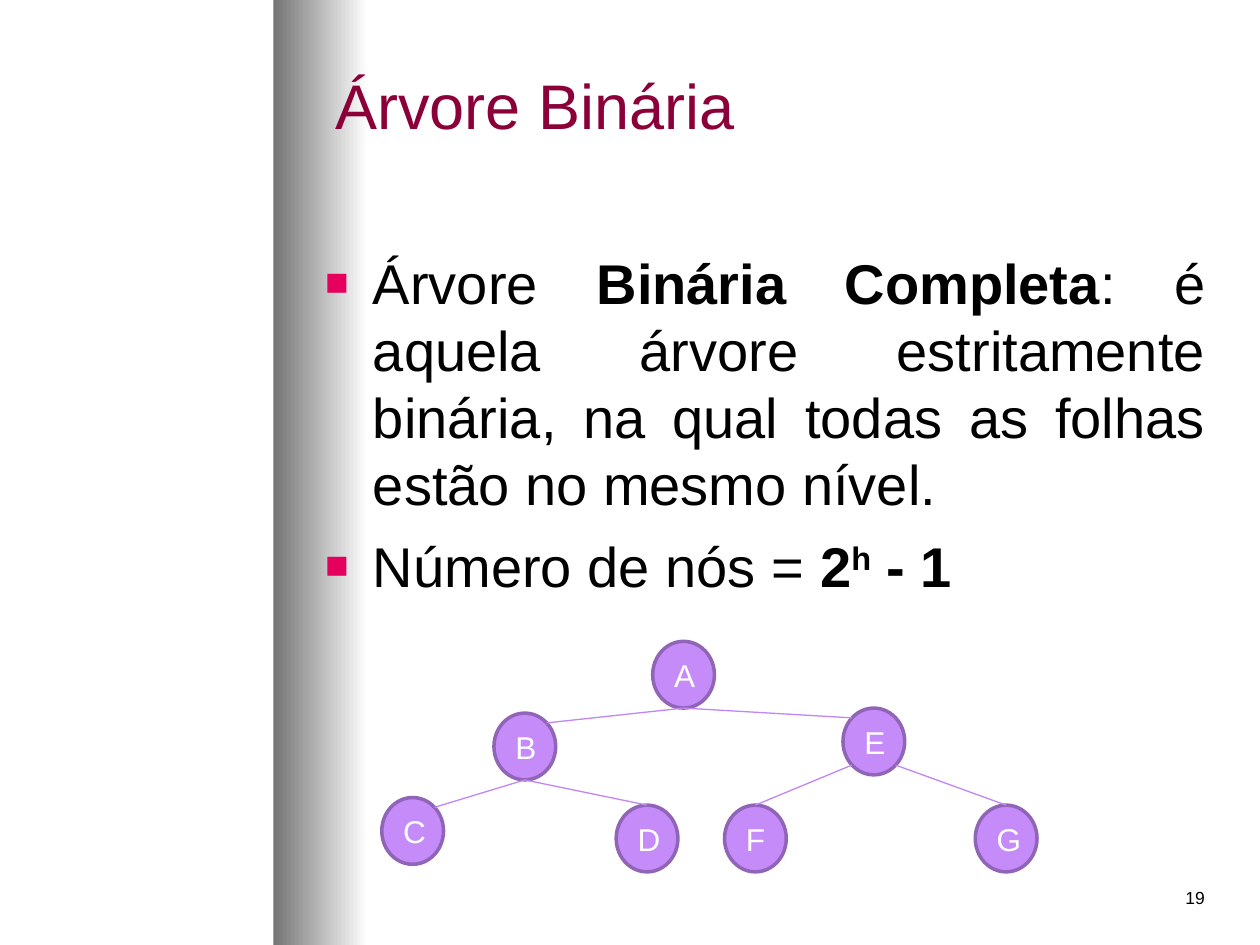
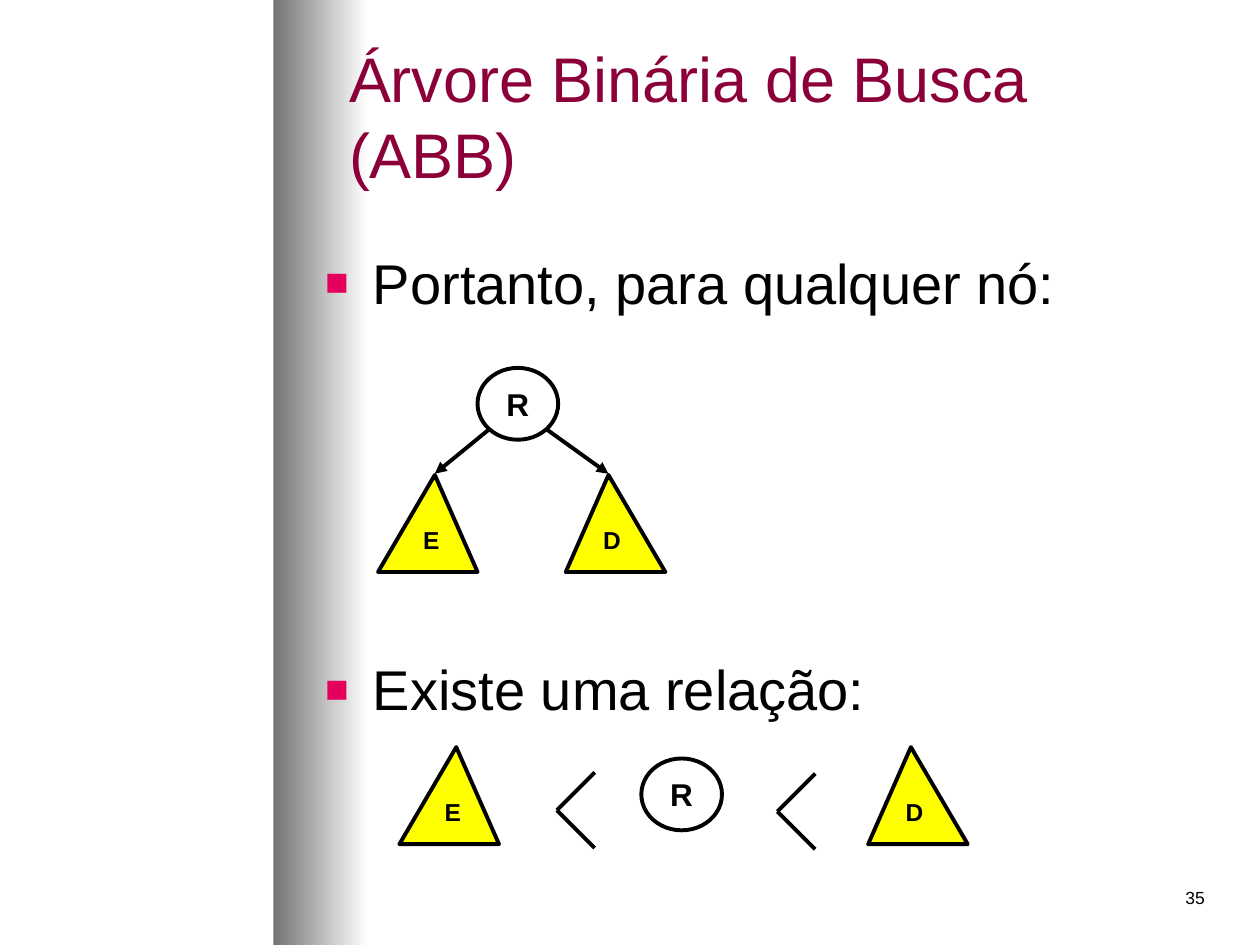
"""Build two slides on binary trees and binary search trees."""
from lxml import etree
from pptx import Presentation
from pptx import util as u
from pptx.dml.color import RGBColor
from pptx.enum import shapes, text
from pptx.oxml.ns import qn


class Theme:
    font = "Arial"
    title, ink, bullet = "8C0039", "000000", "E4005C"
    shade, white = "747474", "FFFFFF"
    node, rim, edge, leaf = "C58BF9", "9065B7", "C185F6", "FFFF00"
    head, body, label, small, foot = 36, 32, 18, 14, 10
    thin, mid, bold = 0.75, 2, 2.25


BAND = (2.17, 0, 0.75, 7.5)
FOOT = (7.58, 6.99, 2.08, 0.34)
GAP = 8
DIAG = 0.5 ** 0.5

FULL = {
    "title": "Árvore Binária", "head": (2.56, 0.05, 6.29, 1.55),
    "body": (2.48, 1.92, 7.19, 5.42), "page": "19",
    "align": text.PP_ALIGN.JUSTIFY,
    "items": [
        (GAP, [("Árvore ", ""), ("Binária Completa", "b"),
               (": é aquela árvore estritamente binária, na qual todas as "
                "folhas estão no mesmo nível.", "")]),
        (GAP, [("Número de nós = ", ""), ("2", "b"), ("h", "b^"),
               (" - 1", "b")]),
    ],
}
SEARCH = {
    "title": "Árvore Binária de Busca (ABB)", "head": (2.67, 0.25, 7, 1.33),
    "body": (2.48, 1.92, 6.77, 3.88), "page": "35",
    "align": text.PP_ALIGN.LEFT,
    "items": [
        (GAP, [("Portanto, para qualquer nó:", "")]),
        (194, [("Existe uma relação:", "")]),
    ],
}

NODE = (0.49, 0.53)
NODES = {"A": (5.18, 5.09), "B": (3.92, 5.66), "E": (6.69, 5.62),
         "C": (3.03, 6.33), "D": (4.89, 6.39), "F": (5.75, 6.39),
         "G": (7.74, 6.39)}
DOWN, UP = (0, 1), (0, -1)
EDGES = [("A", DOWN, "B", (1, -1)), ("A", DOWN, "E", (-1, -1)),
         ("B", DOWN, "C", (1, -1)), ("B", DOWN, "D", UP),
         ("E", (-1, 1), "F", UP), ("E", (1, 1), "G", UP)]

ROOT, TREE = (0.64, 0.57), (0.79, 0.77)
PEAK = {"E": 0.571, "D": 0.429}
ROOTS = [(3.79, 2.92), (5.09, 6.02)]
TREES = [("E", 3, 3.77), ("D", 4.49, 3.77),
         ("E", 3.17, 5.93), ("D", 6.89, 5.93)]
SIGNS = [(4.42, 6.43), (6.17, 6.44)]
ARM = 0.3


def rgb(hue):
    return RGBColor.from_string(hue)


def place(shape, box):
    shape.left, shape.top, shape.width, shape.height = map(u.Inches, box)


def write(para, words, size, hue, bold=False):
    run = para.add_run()
    run.text = words
    font = run.font
    font.name, font.size, font.bold = Theme.font, u.Pt(size), bold
    font.color.rgb = rgb(hue)
    return run


def mark(para):
    props = para._p.get_or_add_pPr()
    props.set("marL", str(u.Inches(0.38)))
    props.set("indent", str(-u.Inches(0.38)))
    tint = etree.SubElement(props, qn("a:buClr"))
    etree.SubElement(tint, qn("a:srgbClr"), val=Theme.bullet)
    etree.SubElement(props, qn("a:buSzPct"), val="70000")
    etree.SubElement(props, qn("a:buFont"), typeface=Theme.font)
    etree.SubElement(props, qn("a:buChar"), char="■")


def draw(slide, kind, box, fill, rim, width):
    shape = slide.shapes.add_shape(kind, *map(u.Inches, box))
    shape.shadow.inherit = False
    if fill:
        shape.fill.solid()
        shape.fill.fore_color.rgb = rgb(fill)
    else:
        shape.fill.background()
    shape.line.color.rgb = rgb(rim)
    shape.line.width = u.Pt(width)
    return shape


def label(shape, words, size, hue, bold, anchor):
    frame = shape.text_frame
    frame.vertical_anchor = anchor
    para = frame.paragraphs[0]
    para.alignment = text.PP_ALIGN.CENTER
    write(para, words, size, hue, bold)


def join(slide, start, end, hue, width, arrow=False):
    line = slide.shapes.add_connector(
        shapes.MSO_CONNECTOR.STRAIGHT, *map(u.Inches, (*start, *end)))
    line.line.color.rgb = rgb(hue)
    line.line.width = u.Pt(width)
    props = line._element.spPr
    if arrow:
        etree.SubElement(props.find(qn("a:ln")), qn("a:tailEnd"),
                         type="triangle")
    etree.SubElement(props, qn("a:effectLst"))


def site(spot, size, way):
    """Return the point on an ellipse that lies in the given direction."""
    scale = DIAG if all(way) else 1
    return [p + s / 2 * (1 + w * scale) for p, s, w in zip(spot, size, way)]


def add_band(slide, layout):
    """Draw the shaded band once and move it to the shared layout."""
    band = draw(slide, shapes.MSO_SHAPE.RECTANGLE, BAND, None,
                Theme.white, Theme.thin)
    band.line.fill.background()
    band.fill.gradient()
    band.fill.gradient_angle = 0
    for stop, hue, pos in zip(band.fill.gradient_stops,
                              (Theme.shade, Theme.white), (0, 1)):
        stop.color.rgb, stop.position = rgb(hue), pos
    band._element.nvSpPr.cNvPr.set("id", "20")
    layout.shapes._spTree.insert(2, band._element)


def add_page(deck, layout, page):
    slide = deck.slides.add_slide(layout)
    title, body = slide.placeholders
    place(title, page["head"])
    frame = title.text_frame
    frame.auto_size = text.MSO_AUTO_SIZE.NONE
    frame.vertical_anchor = text.MSO_ANCHOR.MIDDLE
    para = frame.paragraphs[0]
    para.alignment = text.PP_ALIGN.LEFT
    write(para, page["title"], Theme.head, Theme.title)

    place(body, page["body"])
    frame = body.text_frame
    frame.auto_size = text.MSO_AUTO_SIZE.NONE
    for num, (gap, runs) in enumerate(page["items"]):
        para = frame.add_paragraph() if num else frame.paragraphs[0]
        para.alignment = page["align"]
        para.space_before = u.Pt(gap)
        mark(para)
        for words, style in runs:
            run = write(para, words, Theme.body, Theme.ink, "b" in style)
            if "^" in style:
                run._r.get_or_add_rPr().set("baseline", "30000")

    foot = slide.shapes.add_textbox(*map(u.Inches, FOOT)).text_frame
    foot.word_wrap = True
    foot.paragraphs[0].alignment = text.PP_ALIGN.RIGHT
    write(foot.paragraphs[0], page["page"], Theme.foot, Theme.ink)
    return slide


def draw_full(slide):
    for name, spot in NODES.items():
        node = draw(slide, shapes.MSO_SHAPE.OVAL, (*spot, *NODE),
                    Theme.node, Theme.rim, Theme.mid)
        label(node, name, Theme.label, Theme.white, False,
              text.MSO_ANCHOR.MIDDLE)
    for top, out, low, into in EDGES:
        join(slide, site(NODES[top], NODE, out), site(NODES[low], NODE, into),
             Theme.edge, Theme.thin)


def draw_search(slide):
    for spot in ROOTS:
        root = draw(slide, shapes.MSO_SHAPE.OVAL, (*spot, *ROOT),
                    None, Theme.ink, Theme.bold)
        label(root, "R", Theme.label, Theme.ink, True, text.MSO_ANCHOR.TOP)
    for name, x, y in TREES:
        tree = draw(slide, shapes.MSO_SHAPE.ISOSCELES_TRIANGLE, (x, y, *TREE),
                    Theme.leaf, Theme.ink, Theme.bold)
        tree.adjustments[0] = PEAK[name]
        frame = tree.text_frame
        frame.margin_left = frame.margin_right = u.Inches(0.02)
        frame.margin_top = frame.margin_bottom = u.Inches(0.01)
        label(tree, name, Theme.small, Theme.ink, True, text.MSO_ANCHOR.TOP)
    for (name, x, y), side in zip(TREES[:2], (-1, 1)):
        join(slide, site(ROOTS[0], ROOT, (side, 1)),
             (x + PEAK[name] * TREE[0], y - 0.01),
             Theme.ink, Theme.bold, True)
    for x, y in SIGNS:
        for way in (-1, 1):
            join(slide, (x + ARM, y + way * ARM), (x, y),
                 Theme.ink, Theme.bold)


def main():
    deck = Presentation()
    deck.slide_width, deck.slide_height = u.Inches(10), u.Inches(7.5)
    layout = deck.slide_layouts[1]
    full = add_page(deck, layout, FULL)
    add_band(full, layout)
    draw_full(full)
    draw_search(add_page(deck, layout, SEARCH))
    deck.save("out.pptx")


if __name__ == "__main__":
    main()
